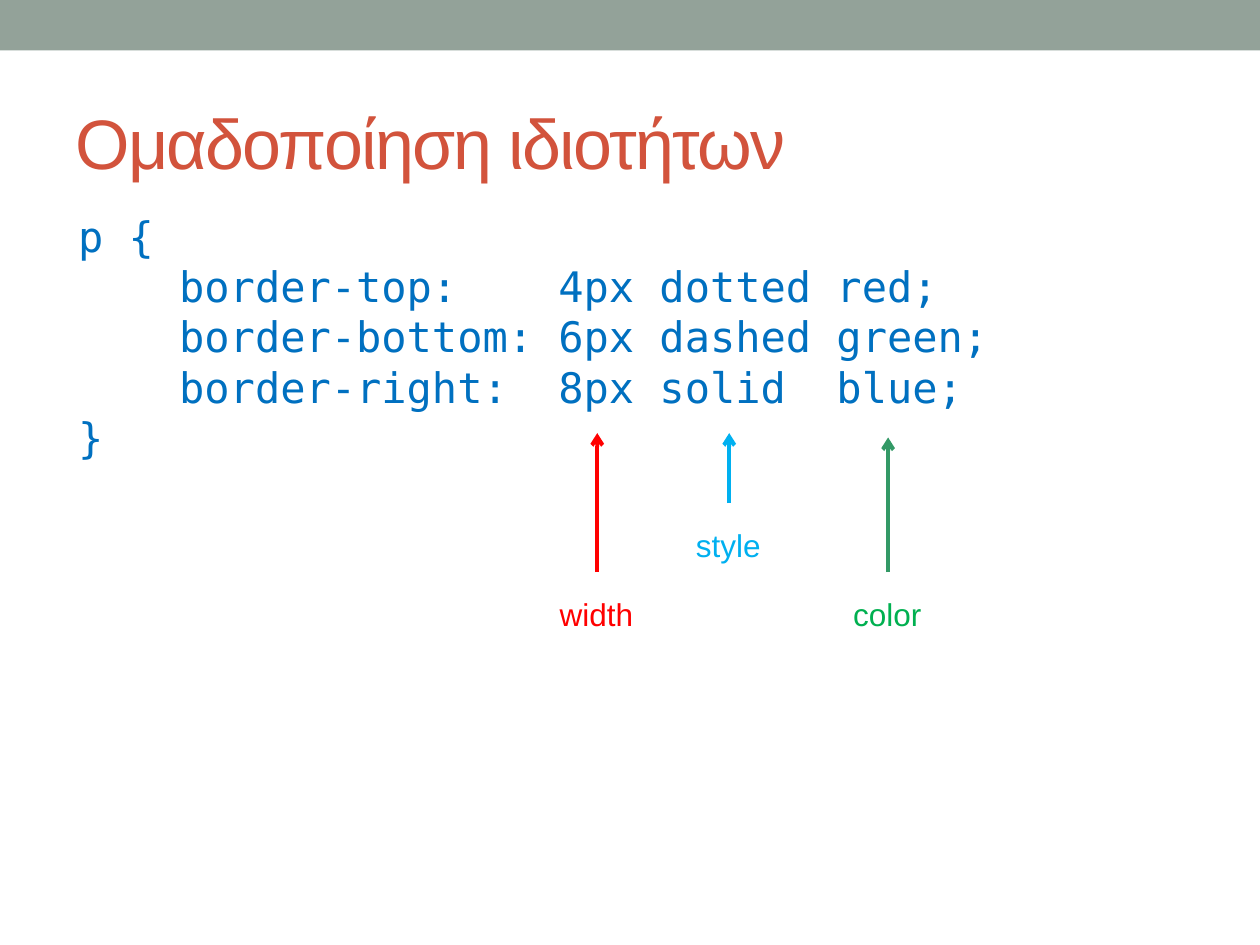
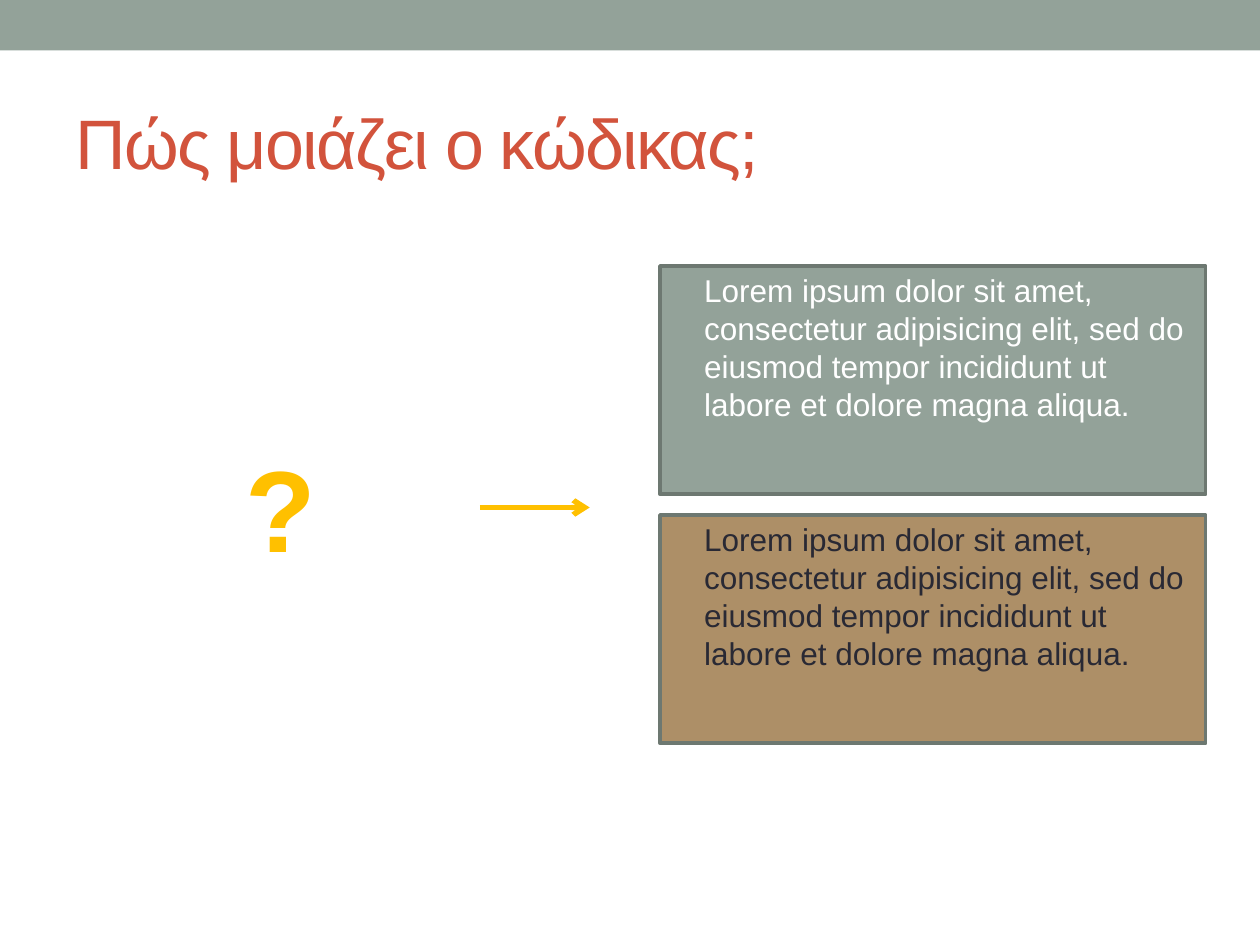
"""Two slides on CSS border shorthand: the grouped properties and a code quiz."""
from lxml.etree import SubElement
from pptx import Presentation
from pptx.dml.color import RGBColor
from pptx.enum.shapes import MSO_CONNECTOR, MSO_SHAPE
from pptx.enum.text import MSO_ANCHOR, MSO_AUTO_SIZE, PP_ALIGN
from pptx.oxml.ns import qn
from pptx.util import Pt

SAGE = RGBColor(0x93, 0xA2, 0x99)
SAGE_DARK = RGBColor(0x6D, 0x78, 0x71)
TAN = RGBColor(0xAD, 0x8F, 0x67)
INK = RGBColor(0x29, 0x29, 0x34)
BRICK = RGBColor(0xD2, 0x53, 0x3C)
CODE_BLUE = RGBColor(0x00, 0x70, 0xC0)
RED = RGBColor(0xFF, 0x00, 0x00)
SKY = RGBColor(0x00, 0xB0, 0xF0)
GREEN = RGBColor(0x00, 0xB0, 0x50)
SEA_GREEN = RGBColor(0x33, 0x99, 0x66)
GOLD = RGBColor(0xFF, 0xC0, 0x00)
WHITE = RGBColor(0xFF, 0xFF, 0xFF)

TITLES = ["Ομαδοποίηση ιδιοτήτων", "Πώς μοιάζει ο κώδικας;"]
CODE = """p {
    border-top:    4px dotted red;
    border-bottom: 6px dashed green;
    border-right:  8px solid  blue;
}"""
LOREM = ("Lorem ipsum dolor sit amet, consectetur adipisicing elit, sed do "
         "eiusmod tempor incididunt ut labore et dolore magna aliqua.")


def write(tf, text, size, color, align=PP_ALIGN.LEFT, name="Arial", bold=False):
    for i, line in enumerate(text.split("\n")):
        p = tf.add_paragraph() if i else tf.paragraphs[0]
        p.alignment = align
        p.line_spacing = Pt(size * 1.2)
        r = p.add_run()
        r.text = line
        for key, value in {"size": Pt(size), "name": name, "bold": bold}.items():
            setattr(r.font, key, value)
        r.font.color.rgb = color


def arrow(s, x1, y1, x2, y2, color, width):
    line = s.shapes.add_connector(MSO_CONNECTOR.STRAIGHT, Pt(x1), Pt(y1), Pt(x2), Pt(y2))
    line.line.color.rgb = color
    line.line.width = Pt(width)
    SubElement(line.line._get_or_add_ln(), qn("a:tailEnd"), type="arrow")
    SubElement(line._element.spPr, qn("a:effectLst"))


prs = Presentation()
prs.slide_width, prs.slide_height = Pt(720), Pt(540)

for title in TITLES:
    s = prs.slides.add_slide(prs.slide_layouts[5])
    band = s.shapes.add_shape(MSO_SHAPE.RECTANGLE, 0, 0, prs.slide_width, Pt(28.8))
    band.shadow.inherit = False
    band.fill.solid()
    band.fill.fore_color.rgb = SAGE
    band.line.fill.background()

    sp = s.shapes.title
    for key, value in {"left": 36, "top": 42, "width": 648, "height": 78}.items():
        setattr(sp, key, Pt(value))
    tf = sp.text_frame
    tf.vertical_anchor = MSO_ANCHOR.MIDDLE
    tf.auto_size = MSO_AUTO_SIZE.NONE
    write(tf, title, 40, BRICK)
    tf.paragraphs[0].runs[0]._r.get_or_add_rPr().set("spc", "-100")

grouping, quiz = prs.slides

tf = grouping.shapes.add_textbox(Pt(37.5), Pt(116.5), Pt(605.5), Pt(152.5)).text_frame
tf.word_wrap = True
write(tf, CODE, 24, CODE_BLUE, name="DejaVu Sans Mono")

for label, x, tip, tail, line_color, text_color in [
    ("width", 341.3, 247.5, 327, RED, RED),
    ("style", 416.7, 247.5, 287.5, SKY, SKY),
    ("color", 507.5, 250, 327, SEA_GREEN, GREEN),
]:
    arrow(grouping, x, tail, x, tip, line_color, 2.25)
    tf = grouping.shapes.add_textbox(Pt(x - 43), Pt(tail + 9.5), Pt(85), Pt(29)).text_frame
    tf.word_wrap = True
    write(tf, label, 18, text_color, PP_ALIGN.CENTER)

for top, fill, color in [(152, SAGE, WHITE), (294.3, TAN, INK)]:
    sp = quiz.shapes.add_shape(MSO_SHAPE.RECTANGLE, Pt(377.2), Pt(top), Pt(311.8), Pt(130.5))
    sp.shadow.inherit = False
    sp.fill.solid()
    sp.fill.fore_color.rgb = fill
    sp.line.color.rgb = SAGE_DARK
    sp.line.width = Pt(2.08)
    tf = sp.text_frame
    tf.word_wrap = True
    tf.vertical_anchor = MSO_ANCHOR.TOP
    for side, inset in {"left": 25.2, "top": 3, "right": 7.2, "bottom": 3.6}.items():
        setattr(tf, f"margin_{side}", Pt(inset))
    write(tf, LOREM, 18, color)

arrow(quiz, 274.3, 290, 337, 290, GOLD, 3)
tf = quiz.shapes.add_textbox(Pt(133.2), Pt(246.2), Pt(55.4), Pt(87)).text_frame
tf.word_wrap = False
write(tf, "?", 66, GOLD, bold=True)

prs.save("out.pptx")
